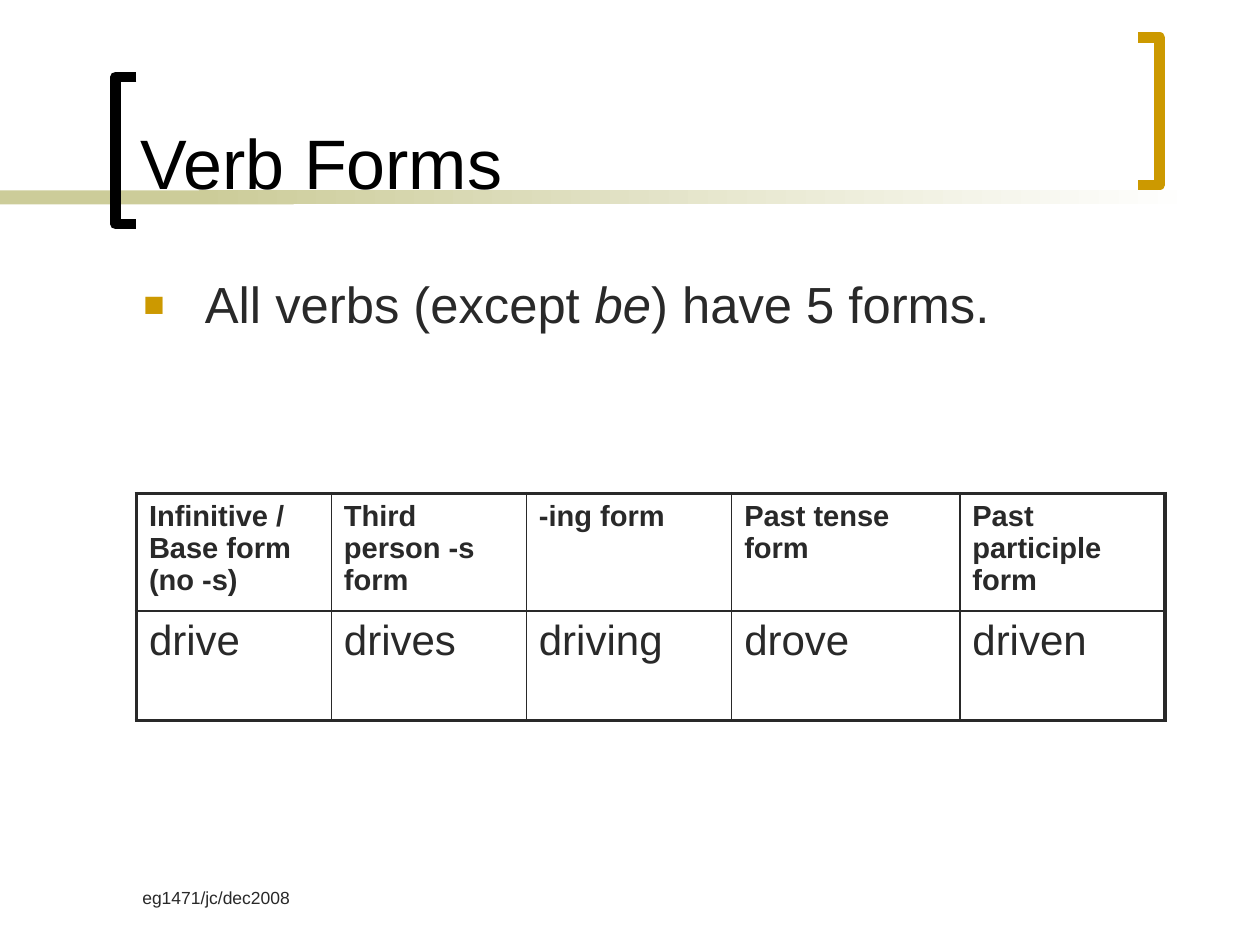
import pptx
import pptx.util
import pptx.dml.color
import pptx.enum.text
import pptx.enum.shapes
import pptx.oxml
import pptx.oxml.ns
from dataclasses import dataclass

Cm, Pt = pptx.util.Cm, pptx.util.Pt
Anchor = pptx.enum.text.MSO_ANCHOR

# Content
TITLE = "Verb Forms"
POINT = [("All verbs (except ", False), ("be", True), (") have 5 forms.", False)]
FORMS = [
    ("Infinitive / Base form (no -s)", "drive"),
    ("Third person -s form", "drives"),
    ("-ing form", "driving"),
    ("Past tense form", "drove"),
    ("Past participle form", "driven"),
]
FOOT = "eg1471/jc/dec2008"
WIDTHS = [3.93, 3.93, 4.14, 4.6, 4.14]
HEIGHTS = [2.27, 2.21]


@dataclass(frozen=True)
class Theme:
    font: str = "Arial"
    ink: str = "292929"
    black: str = "000000"
    gold: str = "CC9900"
    sand: str = "CCCC99"
    white: str = "FFFFFF"
    title: float = 40
    body: float = 29
    head: float = 16.6
    cell: float = 24
    foot: float = 10
    thin: float = 1
    thick: float = 2.25
    frame: float = 6


theme = Theme()


def rgb(code):
    return pptx.dml.color.RGBColor.from_string(code)


def write(frame, text, size, color=theme.ink, bold=False, anchor=Anchor.TOP):
    """Fill a frame with one paragraph; text is a string or (text, italic) pairs."""
    frame.word_wrap = True
    frame.vertical_anchor = anchor
    para = frame.paragraphs[0]
    for words, slant in [(text, False)] if isinstance(text, str) else text:
        run = para.add_run()
        run.text = words
        font = run.font
        font.name, font.size = theme.font, Pt(size)
        font.bold, font.italic = bold, slant
        font.color.rgb = rgb(color)
    return para


def box(left, top, width, height):
    return slide.shapes.add_textbox(Cm(left), Cm(top), Cm(width), Cm(height)).text_frame


def bar(left, width):
    shape = slide.shapes.add_shape(
        pptx.enum.shapes.MSO_SHAPE.RECTANGLE, Cm(left), Cm(3.84), Cm(width), Cm(0.28))
    shape.shadow.inherit = False
    shape.line.fill.background()
    return shape.fill


def bracket(spine, tip, top, color):
    base = top + 2.97
    pen = slide.shapes.build_freeform(Cm(tip), Cm(top))
    pen.add_line_segments(
        [(Cm(spine), Cm(top)), (Cm(spine), Cm(base)), (Cm(tip), Cm(base))], close=False)
    shape = pen.convert_to_shape()
    shape.shadow.inherit = False
    shape.fill.background()
    shape.line.color.rgb = rgb(color)
    shape.line.width = Pt(theme.frame)


def xml(tag, inner="", **attrs):
    pairs = "".join(f' {key}="{val}"' for key, val in attrs.items())
    space = pptx.oxml.ns.nsdecls("a")
    return pptx.oxml.parse_xml(f"<a:{tag} {space}{pairs}>{inner}</a:{tag}>")


def border(cell, side, width):
    fill = f'<a:solidFill><a:srgbClr val="{theme.ink}"/></a:solidFill>'
    return xml(side, fill, w=int(Pt(width)))


# Slide
deck = pptx.Presentation()
deck.slide_width, deck.slide_height = Cm(25.4), Cm(19.05)
slide = deck.slides.add_slide(deck.slide_layouts[6])

# Band and brackets
solid = bar(0, 5.92)
solid.solid()
solid.fore_color.rgb = rgb(theme.sand)
fade = bar(4.01, 20.12)
fade.gradient()
fade.gradient_angle = 0
for stop, color, place in zip(fade.gradient_stops, (theme.sand, theme.white), (0, 1)):
    stop.color.rgb = rgb(color)
    stop.position = place
bracket(2.33, 2.75, 1.55, theme.black)
bracket(23.38, 22.95, 0.76, theme.gold)

# Footer, title and bullet point
foot = box(2.62, 17.35, 5.28, 1.27)
foot.margin_top = Cm(0.53)
write(foot, FOOT, theme.foot)
write(box(2.59, 0.28, 19.89, 3.94), TITLE, theme.title, theme.black, anchor=Anchor.BOTTOM)
point = write(box(2.64, 5.51, 20.45, 2.34), POINT, theme.body)
point.line_spacing = 0.9
props = point._p.get_or_add_pPr()
props.set("marL", str(Cm(1.24)))
props.set("indent", str(-Cm(1.24)))
props.append(xml("buClr", f'<a:srgbClr val="{theme.gold}"/>'))
props.append(xml("buSzPct", val=70000))
props.append(xml("buFont", typeface=theme.font))
props.append(xml("buChar", char="■"))

# Table of forms
table = slide.shapes.add_table(
    len(HEIGHTS), len(FORMS), Cm(2.75), Cm(9.95), Cm(sum(WIDTHS)), Cm(sum(HEIGHTS))).table
table.first_row = table.horz_banding = False
for row, height in zip(table.rows, HEIGHTS):
    row.height = Cm(height)
for c, (forms, width) in enumerate(zip(FORMS, WIDTHS)):
    table.columns[c].width = Cm(width)
    for r, word in enumerate(forms):
        cell = table.cell(r, c)
        head = r == 0
        write(cell.text_frame, word, theme.head if head else theme.cell, bold=head)
        edges = {"lnL": c == 0, "lnR": c == len(FORMS) - 1,
                 "lnT": head, "lnB": r == len(HEIGHTS) - 1}
        for side, outer in edges.items():
            line = border(cell, side, theme.thick if outer else theme.thin)
            cell._tc.get_or_add_tcPr().append(line)
        cell.fill.background()

deck.save("out.pptx")
